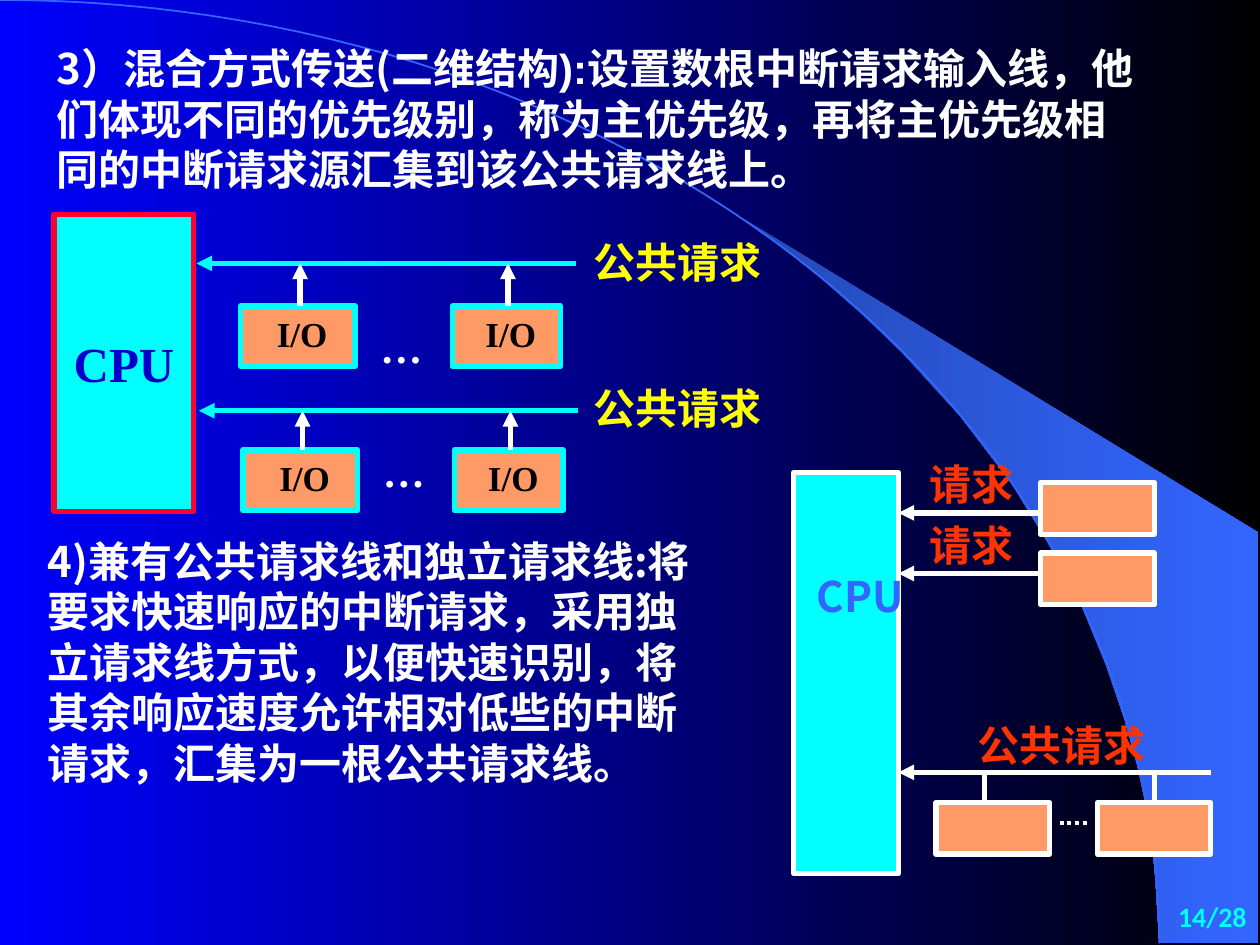
from math import cos, pi, sin

from lxml import etree
from pptx import Presentation
from pptx.dml.color import RGBColor
from pptx.enum import dml, shapes, text
from pptx.oxml.ns import qn
from pptx.util import Cm, Pt

BLUE = RGBColor(0x00, 0x00, 0xFF)
BLACK = RGBColor(0x00, 0x00, 0x00)
WHITE = RGBColor(0xFF, 0xFF, 0xFF)
CYAN = RGBColor(0x00, 0xFF, 0xFF)
ORANGE = RGBColor(0xFF, 0x99, 0x66)
YELLOW = RGBColor(0xFF, 0xFF, 0x00)
CRIMSON = RGBColor(0xFF, 0x00, 0x33)
RED = RGBColor(0xFF, 0x33, 0x00)
NAVY = RGBColor(0x00, 0x00, 0xCC)
SKY = RGBColor(0x33, 0x66, 0xFF)
DEEP_SKY = RGBColor(0x24, 0x49, 0xB6)
SANS, SERIF = "Noto Sans CJK SC", "Times New Roman"

MIXED = [
    ("3）混合方式传送(", SANS),
    ("二维结构):设置数根中断请求输入线，他们体现不同的优先级别，称为主优先级，"
     "再将主优先级相同的中断请求源汇集到该公共请求线上。", "Arial"),
]
COMBINED = ("4)兼有公共请求线和独立请求线:将要求快速响应的中断请求，采用独立请求线方式，"
            "以便快速识别，将其余响应速度允许相对低些的中断请求，汇集为一根公共请求线。")
SHARED, SINGLE = "公共请求", "请求"

WING = [
    (23.37, 19), (25.37, 19.02), (25.37, 10.74), (14.96, 4.39), (15.85, 5.05),
    (16.59, 5.64), (17.4, 6.35), (18.19, 7.11), (19.35, 8.38), (20.4, 9.75),
    (21.13, 10.95), (21.79, 12.17), (22.3, 13.41), (22.68, 14.53),
    (22.94, 15.47), (23.19, 16.66), (23.29, 17.68),
]
ARC_WIDTH, ARC_HEIGHT, ARC_STEPS = 23.37, 19.02, 60
ARC = [(ARC_WIDTH * sin(i * pi / 2 / ARC_STEPS),
        ARC_HEIGHT * (1 - cos(i * pi / 2 / ARC_STEPS)))
       for i in range(ARC_STEPS + 1)]

BUS_ROWS = [
    {"shift": 0, "bus": 5.31, "label": 4.65, "device": 6.17, "dots": 6.35},
    {"shift": 0.05, "bus": 8.28, "label": 7.59, "device": 9.07, "dots": 8.86},
]
DEVICES = [(4.85, 2.31, 6.05), (9.12, 2.18, 10.24)]
SINGLE_LINES = [(10.34, 9.12, 9.73), (11.56, 10.34, 11.15)]
SHARED_DEVICES = [(18.87, 19.84), (22.12, 23.27)]
CPU_EDGE, SINGLE_LEFT = 18.11, 20.98
SHARED_Y, SHARED_TOP = 15.57, 16.18
SMALL_BOX = (2.29, 1.04)

prs = Presentation()
prs.slide_width, prs.slide_height = Cm(25.4), Cm(19.05)
slide = prs.slides.add_slide(prs.slide_layouts[6])


def shade(fill, start, end):
    fill.gradient()
    fill.gradient_angle = 0
    for stop, color, position in zip(fill.gradient_stops, (start, end), (0, 1)):
        stop.color.rgb = color
        stop.position = position


def write(frame, runs, size, color, align=text.PP_ALIGN.LEFT, wrap=True):
    frame.word_wrap = wrap
    paragraph = frame.paragraphs[0]
    paragraph.alignment = align
    for words, face in runs:
        run = paragraph.add_run()
        run.text = words
        run.font.size = Pt(size)
        run.font.bold = True
        run.font.color.rgb = color
        run.font.name = face
        etree.SubElement(run.font._element, qn("a:ea"), typeface=SANS)


def label(box, runs, size, color, **layout):
    frame = slide.shapes.add_textbox(*map(Cm, box)).text_frame
    write(frame, runs, size, color, **layout)


def block(box, fill, border):
    rect = slide.shapes.add_shape(shapes.MSO_SHAPE.RECTANGLE, *map(Cm, box))
    rect.shadow.inherit = False
    rect.fill.solid()
    rect.fill.fore_color.rgb = fill
    rect.line.color.rgb = border
    rect.line.width = Pt(3)
    return rect


def wire(start, end, color=WHITE, arrow=True, width=3):
    line = slide.shapes.add_connector(
        shapes.MSO_CONNECTOR.STRAIGHT, *map(Cm, start + end))
    line.line.color.rgb = color
    line.line.width = Pt(width)
    if arrow:
        etree.SubElement(line.line._get_or_add_ln(), qn("a:headEnd"), type="triangle")
    etree.SubElement(line._element.spPr, qn("a:effectLst"))
    return line


def outline(points, close):
    builder = slide.shapes.build_freeform(
        Cm(points[0][0]), Cm(points[0][1]), scale=1.0)
    builder.add_line_segments([(Cm(x), Cm(y)) for x, y in points[1:]], close=close)
    form = builder.convert_to_shape()
    form.shadow.inherit = False
    return form


shade(slide.background.fill, BLUE, BLACK)
wing = outline(WING, True)
shade(wing.fill, DEEP_SKY, SKY)
wing.line.fill.background()
arc = outline(ARC, False)
arc.fill.background()
arc.line.color.rgb = SKY
arc.line.width = Pt(1)

label((22.71, 18.01, 2.67, 0.99), [("14/28", "Calibri")], 16, CYAN,
      align=text.PP_ALIGN.RIGHT)
label((0.89, 0.74, 22.35, 4.88), MIXED, 24, WHITE)

bus_cpu = block((1.09, 4.32, 2.82, 5.99), CYAN, CRIMSON)
bus_cpu.text_frame.vertical_anchor = text.MSO_ANCHOR.MIDDLE
write(bus_cpu.text_frame, [("CPU", SERIF)], 28, NAVY, text.PP_ALIGN.CENTER, False)

for row in BUS_ROWS:
    shift, bus, top = row["shift"], row["bus"], row["device"]
    wire((3.96 + shift, bus), (11.61 + shift, bus), CYAN)
    label((11.71, row["label"], 5.11, 1.27), [(SHARED, SERIF)], 24, YELLOW)
    for left, width, riser in DEVICES:
        device = block((left + shift, top, width, 1.22), ORANGE, CYAN)
        device.text_frame.vertical_anchor = text.MSO_ANCHOR.TOP
        write(device.text_frame, [(" I/O", SERIF)], 20, BLACK, text.PP_ALIGN.CENTER)
        wire((riser + shift, bus), (riser + shift, top))
    label((7.42 + shift, row["dots"], 1.35, 1.27), [("…", SERIF)], 24, WHITE,
          wrap=False)

block((16, 9.53, 2.11, 8.08), CYAN, WHITE)
label((16.21, 11.38, 2.49, 1.27), [("CPU", SANS)], 24, SKY)
for y, label_top, box_top in SINGLE_LINES:
    wire((CPU_EDGE, y), (SINGLE_LEFT, y))
    label((18.49, label_top, 3.05, 1.27), [(SINGLE, SERIF)], 24, RED)
    block((SINGLE_LEFT, box_top, *SMALL_BOX), ORANGE, WHITE)

wire((CPU_EDGE, SHARED_Y), (24.41, SHARED_Y))
label((19.46, 14.38, 4.19, 1.27), [(SHARED, SERIF)], 24, RED)
for left, stem in SHARED_DEVICES:
    block((left, SHARED_TOP, *SMALL_BOX), ORANGE, WHITE)
    wire((stem, SHARED_Y), (stem, SHARED_TOP), arrow=False)
gap = wire((21.36, 16.59), (21.92, 16.59), arrow=False, width=2.25)
gap.line.dash_style = dml.MSO_LINE.ROUND_DOT

label((0.71, 10.67, 13.77, 5.38), [(COMBINED, SANS)], 24, WHITE)

prs.save("out.pptx")
